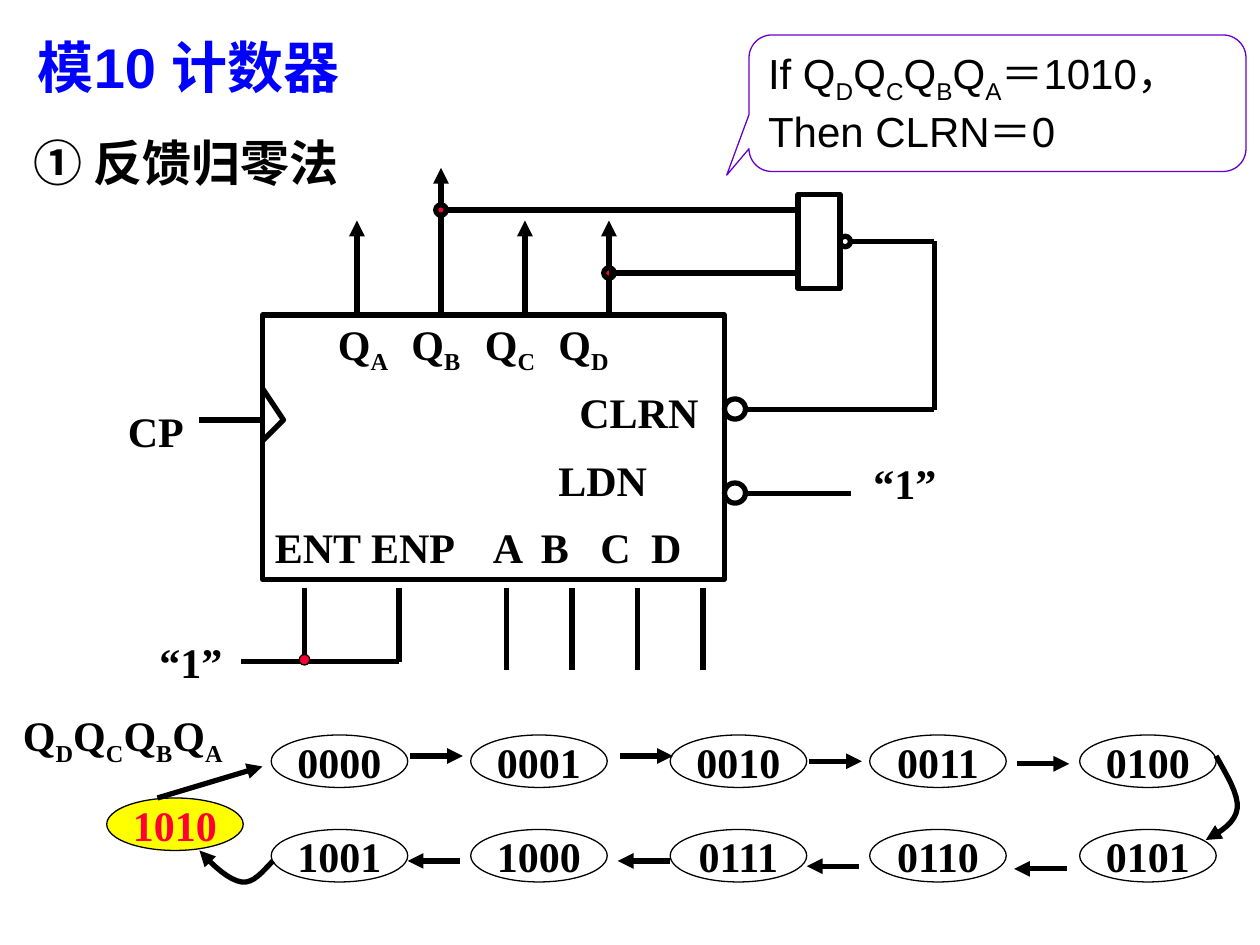
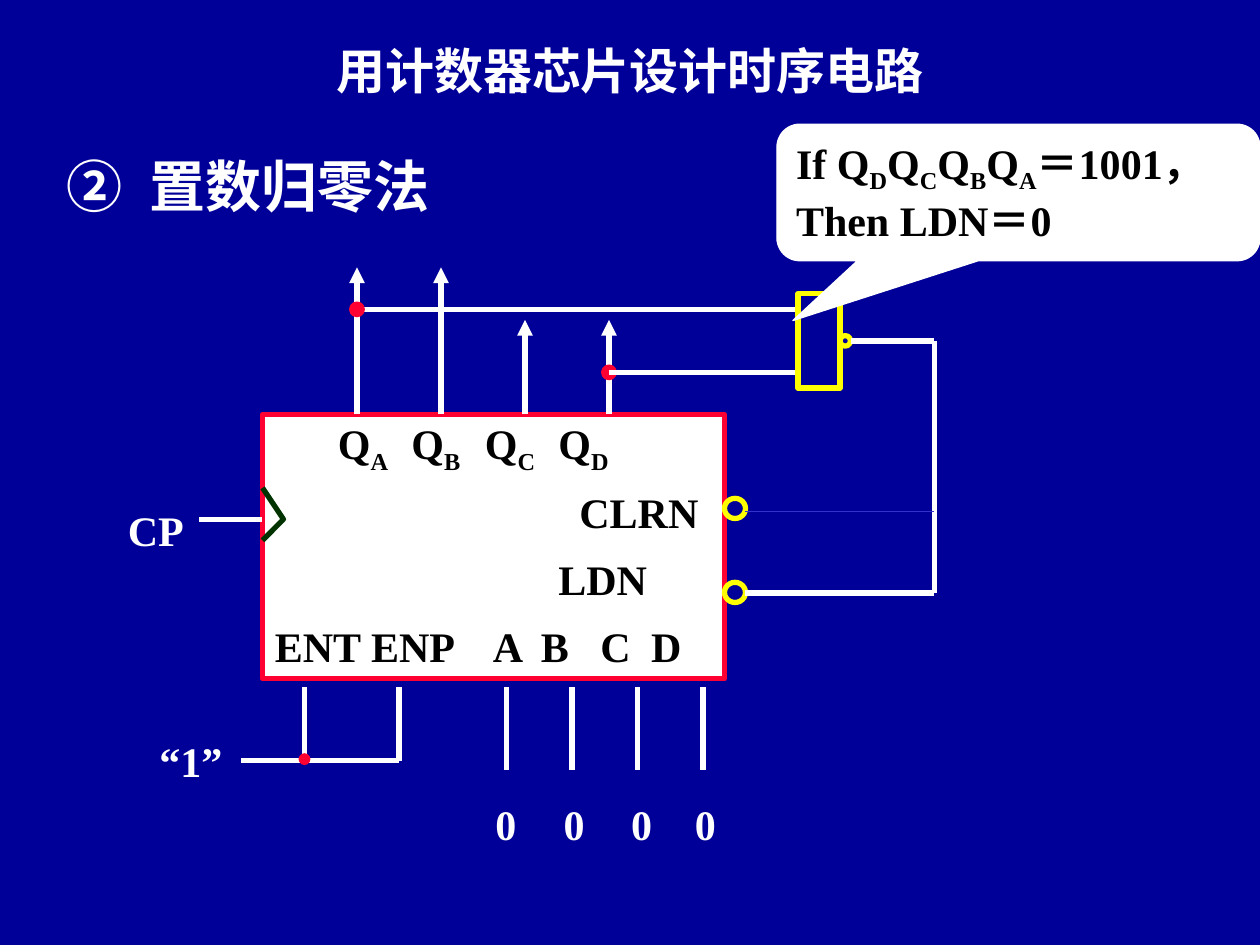
from dataclasses import dataclass

from lxml.etree import SubElement
from pptx import Presentation
from pptx.dml.color import RGBColor
from pptx.enum.shapes import MSO_CONNECTOR, MSO_SHAPE
from pptx.enum.text import MSO_ANCHOR, PP_ALIGN
from pptx.oxml.ns import qn
from pptx.util import Pt

BLACK, WHITE, RED = "000000", "FFFFFF", "FF0033"
YELLOW, NAVY, BLUE = "FFFF00", "000099", "0000FF"
SANS, SERIF = "Arial", "Times New Roman"
THICK, THIN = 3, 0.75
CHIP_LEFT, CHIP_WIDE, CHIP_HIGH = 150, 264, 151
OUT_LEFT, OUT_STEP = 204, 48
DATA_LEFT, DATA_STEP = 289.5, 37.4
BUS_RIGHT = 534
CODE = "Q_DQ_CQ_BQ_A"
PIN_ROWS = [
    ("\tQ_A\tQ_B\tQ_C\tQ_D", (36, 78, 120, 162)),
    ("\tCLRN", (174,)),
    ("\tLDN", (162,)),
    ("ENT\tENP\tA\tB\tC\tD", (55, 124.5, 152, 186, 215)),
]


@dataclass
class Style:
    """Colours of one circuit drawing."""
    wire: str
    chip: str
    gate: str
    clock: str
    dot: str


def color(code):
    """Turn a hex string into a colour."""
    return RGBColor.from_string(code)


def add_stops(para, stops):
    """Set left tab stops, in points, on a paragraph."""
    if stops:
        tabs = SubElement(para._p.get_or_add_pPr(), qn("a:tabLst"))
        for stop in stops:
            SubElement(tabs, qn("a:tab"), pos=str(Pt(stop)), algn="l")


def add_run(para, text, size, font, ink, bold, low=False):
    """Append one run, lowered when it is a subscript."""
    if not text:
        return
    run = para.add_run()
    run.text = text
    run.font.size, run.font.name, run.font.bold = Pt(size), font, bold
    run.font.color.rgb = color(ink)
    if low:
        run._r.get_or_add_rPr().set("baseline", "-25000")


def write(para, text, size=24, font=SERIF, ink=BLACK, bold=True, align=PP_ALIGN.LEFT, stops=()):
    """Fill a paragraph; an underscore lowers the next letter."""
    para.alignment = align
    add_stops(para, stops)
    first, *parts = text.split("_")
    add_run(para, first, size, font, ink, bold)
    for part in parts:
        add_run(para, part[0], size, font, ink, bold, True)
        add_run(para, part[1:], size, font, ink, bold)


def add_label(slide, text, left, top, width, height=36, **look):
    """Add a wrapped text box with one paragraph."""
    box = slide.shapes.add_textbox(Pt(left), Pt(top), Pt(width), Pt(height))
    box.text_frame.word_wrap = True
    write(box.text_frame.paragraphs[0], text, **look)


def add_form(slide, kind, left, top, width, height, line, weight=THICK, fill=None):
    """Add a flat preset shape."""
    form = slide.shapes.add_shape(kind, Pt(left), Pt(top), Pt(width), Pt(height))
    form.shadow.inherit = False
    if fill:
        form.fill.solid()
        form.fill.fore_color.rgb = color(fill)
    else:
        form.fill.background()
    form.line.color.rgb = color(line)
    form.line.width = Pt(weight)
    return form


def add_tip(shape):
    """Put a triangle at the end of a line."""
    SubElement(shape.line._get_or_add_ln(), qn("a:tailEnd"), type="triangle")


def add_wire(slide, start, end, ink=BLACK, tip=False, weight=THICK):
    """Add a straight line between two points."""
    points = [Pt(n) for n in (*start, *end)]
    wire = slide.shapes.add_connector(MSO_CONNECTOR.STRAIGHT, *points)
    SubElement(wire._element.spPr, qn("a:effectLst"))
    wire.line.color.rgb = color(ink)
    wire.line.width = Pt(weight)
    if tip:
        add_tip(wire)


def add_path(slide, points, ink=BLACK, weight=THICK):
    """Add an open line through points."""
    points = [(Pt(x), Pt(y)) for x, y in points]
    maker = slide.shapes.build_freeform(*points[0])
    maker.add_line_segments(points[1:], close=False)
    path = maker.convert_to_shape()
    path.shadow.inherit = False
    path.fill.background()
    path.line.color.rgb = color(ink)
    path.line.width = Pt(weight)
    return path


def bezier(a, b, c, d, steps=8):
    """List points on a cubic curve, without its start."""
    parts = [n / steps for n in range(1, steps + 1)]
    return [tuple((1 - t) ** 3 * p + 3 * (1 - t) ** 2 * t * q + 3 * (1 - t) * t * t * r + t ** 3 * s
                  for p, q, r, s in zip(a, b, c, d)) for t in parts]


def add_curve(slide, *knots):
    """Add an arrow made of two joined cubic curves."""
    add_tip(add_path(slide, [knots[0], *bezier(*knots[:4]), *bezier(*knots[3:])]))


def add_callout(slide, text, left, top, width, tail, line, **look):
    """Add a rounded speech bubble."""
    form = add_form(slide, MSO_SHAPE.ROUNDED_RECTANGULAR_CALLOUT, left, top, width, 78,
                    line, THIN, WHITE)
    form.adjustments[0], form.adjustments[1] = tail
    form.adjustments[2] = 0.167
    form.text_frame.word_wrap = True
    form.text_frame.vertical_anchor = MSO_ANCHOR.TOP
    write(form.text_frame.paragraphs[0], text, **look)


def add_dot(slide, x, y, line, weight=THICK, fill=RED):
    """Add a small circle around a point."""
    add_form(slide, MSO_SHAPE.OVAL, x - 3, y - 3, 6, 6, line, weight, fill)


def add_chip(slide, top, style):
    """Add the counter body, its pin names and clock mark."""
    chip = add_form(slide, MSO_SHAPE.RECTANGLE, CHIP_LEFT, top, CHIP_WIDE, CHIP_HIGH,
                    style.chip, fill=WHITE)
    frame = chip.text_frame
    frame.word_wrap = True
    frame.vertical_anchor = MSO_ANCHOR.TOP
    for row, (text, stops) in enumerate(PIN_ROWS):
        para = frame.add_paragraph() if row else frame.paragraphs[0]
        para.line_spacing = 0.85
        if row:
            para.space_before = Pt(14)
        write(para, text, stops=stops)
    add_path(slide, [(150, top + 42), (162, top + 60), (150, top + 72)], style.clock)


def add_circuit(slide, top, style, tall, tap, reset):
    """Draw the counter; reset is the height of the pin fed back."""
    ink = style.wire

    def wire(x1, y1, x2, y2, tip=False):
        add_wire(slide, (x1, top + y1), (x2, top + y2), ink, tip)

    add_chip(slide, top, style)
    for pin in range(4):
        x = OUT_LEFT + OUT_STEP * pin
        wire(x, 0, x, -84 if pin in tall else -54, True)
        data = DATA_LEFT + DATA_STEP * pin
        wire(data, 156, data, 203)
    tap_x, last_x = OUT_LEFT + OUT_STEP * tap, OUT_LEFT + OUT_STEP * 3
    wire(tap_x, -60, 456, -60)
    add_dot(slide, tap_x, top - 60, style.dot)
    add_dot(slide, last_x, top - 24, style.dot)
    wire(last_x, -24, 456, -24)
    add_form(slide, MSO_SHAPE.RECTANGLE, 456, top - 69, 24, 54, style.gate)
    add_dot(slide, 483, top - 42, style.gate, fill=None)
    for y in (54, 102):
        add_form(slide, MSO_SHAPE.OVAL, 414, top + y - 6, 12, 11.5, style.gate)
    wire(486, -42, BUS_RIGHT, -42)
    wire(BUS_RIGHT, -42, BUS_RIGHT, reset)
    wire(426, reset, BUS_RIGHT, reset)
    wire(114, 60, 150, 60)
    for x in (174, 228):
        wire(x, 156, x, 198)
    wire(138, 198, 228, 198)
    add_dot(slide, 174, top + 197, style.dot, THIN)
    add_label(slide, "CP", 66, top + 48, 48, ink=ink)
    add_label(slide, "“1”", 84, top + 180, 72, ink=ink)


def add_state(slide, text, left, top, fill=WHITE, ink=BLACK):
    """Add one state of the counting ring."""
    form = add_form(slide, MSO_SHAPE.OVAL, left, top, 78, 30, BLACK, THIN, fill)
    form.text_frame.word_wrap = False
    form.text_frame.vertical_anchor = MSO_ANCHOR.MIDDLE
    write(form.text_frame.paragraphs[0], text, ink=ink, align=PP_ALIGN.CENTER)


def add_ring(slide):
    """Draw the ten states, the extra state and their arrows."""
    for step, left in enumerate((155, 269, 383, 497, 617)):
        add_state(slide, f"{step:04b}", left, 420)
        add_state(slide, f"{9 - step:04b}", left, 474)
    add_state(slide, "1010", 61, 456, YELLOW, RED)
    for left, y in ((234.5, 432), (354.5, 432), (462.5, 435), (581, 436.5)):
        add_wire(slide, (left, y), (left + 30, y), tip=True)
        add_wire(slide, (left + 28.5, y + 60), (left - 1.5, y + 60), tip=True)
    add_curve(slide, (695, 432), (701, 443), (708, 454), (707, 462),
              (706, 470), (698, 475), (689, 480))
    add_curve(slide, (156, 492), (150, 498), (145, 505), (138, 504),
              (131, 503), (122, 495), (114, 486))
    add_wire(slide, (90, 456), (150, 438), tip=True)
    add_label(slide, CODE, 6, 402, 156)


def add_page(deck, back):
    """Add a blank slide with a plain background."""
    slide = deck.slides.add_slide(deck.slide_layouts[6])
    slide.background.fill.solid()
    slide.background.fill.fore_color.rgb = color(back)
    return slide


def add_clear(deck):
    """Build the slide on clearing by feedback."""
    slide = add_page(deck, WHITE)
    add_label(slide, "① 反馈归零法", 12, 72, 263, 41, size=28, font=SANS)
    add_circuit(slide, 180, Style(*[BLACK] * 5), tall=(1,), tap=1, reset=54)
    add_wire(slide, (426, 282), (486, 282))
    add_label(slide, "“1”", 492, 258, 72)
    add_callout(slide, f"If {CODE}＝1010，Then CLRN＝0", 428, 20, 284, (-0.545, 0.527),
                "6600CC", font=SANS, bold=False)
    add_ring(slide)
    add_label(slide, "模10 计数器", 14.5, 15, 438, 45, size=32, font=SANS, ink=BLUE)


def add_load(deck):
    """Build the slide on loading zero."""
    slide = add_page(deck, NAVY)
    top = 236.8
    add_circuit(slide, top, Style(WHITE, RED, YELLOW, "003300", RED), tall=(0, 1), tap=0, reset=102)
    add_wire(slide, (426, 292), (BUS_RIGHT, 292), "3333CC", weight=0.5)
    add_label(slide, "②\t置数归零法", 31, 83, 346, 46, size=32, font=SANS, ink=WHITE, stops=(47.5,))
    for left in (276, 315, 353.5, 390):
        add_label(slide, "0", left, 453, 51, ink=WHITE)
    add_callout(slide, f"If {CODE}＝1001，Then LDN＝0", 444, 71, 276, (-0.467, 0.938), WHITE)
    add_label(slide, "用计数器芯片设计时序电路", 0, 19.5, 720, 41, size=28, font=SANS,
              ink=WHITE, align=PP_ALIGN.CENTER)


def main():
    """Build and save both slides."""
    deck = Presentation()
    deck.slide_width, deck.slide_height = Pt(720), Pt(540)
    add_clear(deck)
    add_load(deck)
    deck.save("out.pptx")


if __name__ == "__main__":
    main()
